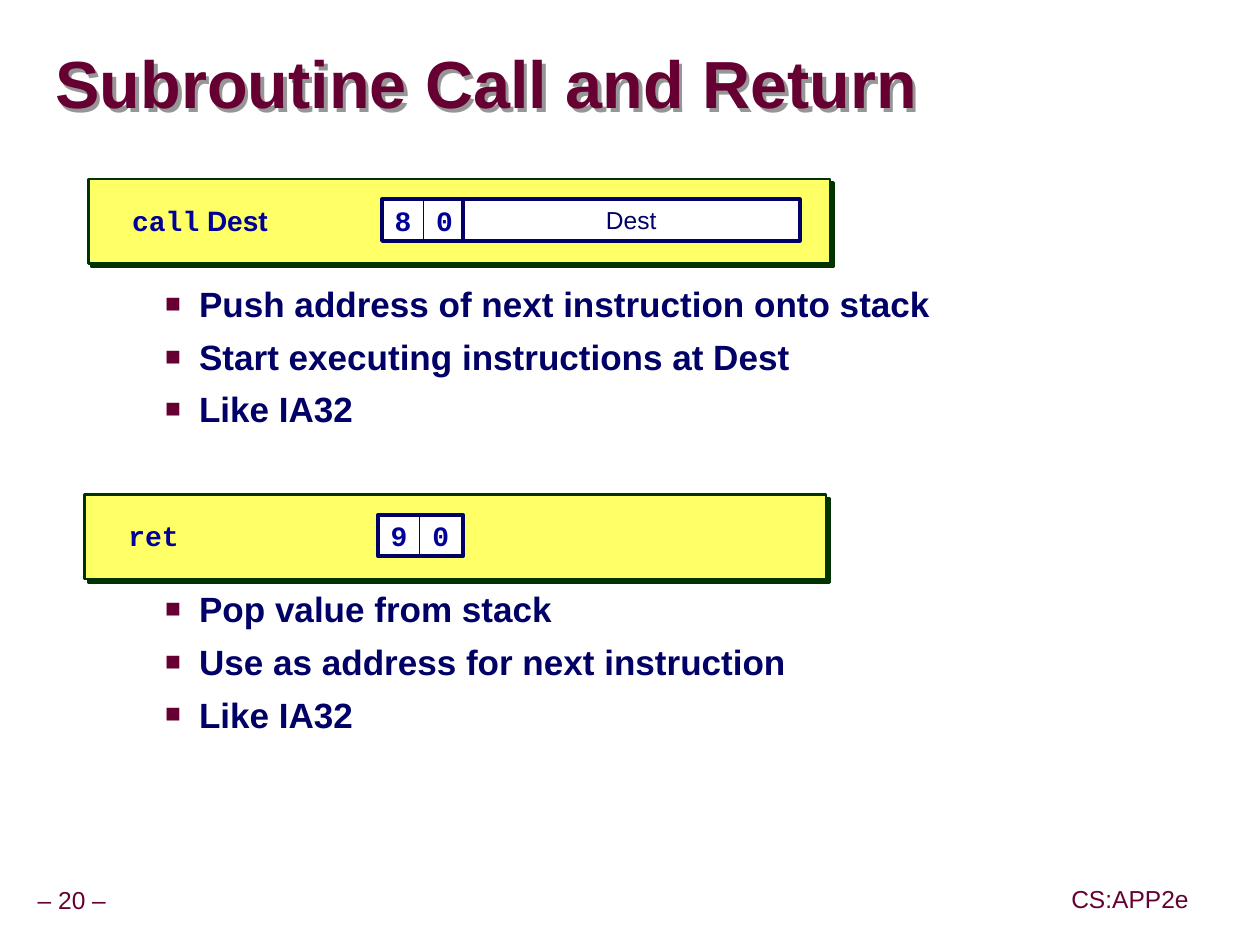
from lxml.etree import SubElement
from pptx import Presentation
from pptx.dml.color import RGBColor
from pptx.enum.shapes import MSO_SHAPE
from pptx.enum.text import MSO_ANCHOR, PP_ALIGN
from pptx.oxml.ns import qn
from pptx.util import Inches, Pt

COLORS = {
    "maroon": "660033", "navy": "000066", "code": "000099", "yellow": "FFFF66",
    "green": "003300", "white": "FFFFFF", "grey": "969696",
}
CELL = 0.33


def write(s, runs, size, color, bold=True, align=PP_ALIGN.LEFT, inset=None):
    tf = s.text_frame
    tf.word_wrap = inset is None
    tf.vertical_anchor = MSO_ANCHOR.MIDDLE
    if inset is not None:
        tf.margin_left = tf.margin_right = tf.margin_top = tf.margin_bottom = Inches(inset)
    p = tf.paragraphs[0]
    p.alignment = align
    for text, font in runs:
        r = p.add_run()
        r.text = text
        r.font.name, r.font.size, r.font.bold = font, Pt(size), bold
        r.font.color.rgb = RGBColor.from_string(COLORS[color])
    return p


def style(s, fill=None, line=None, width=None, shadow=None):
    s.shadow.inherit = False
    if fill:
        s.fill.solid()
        s.fill.fore_color.rgb = RGBColor.from_string(COLORS[fill])
    else:
        s.fill.background()
    if line:
        s.line.color.rgb = RGBColor.from_string(COLORS[line])
        s.line.width = Pt(width)
    if shadow:
        effects = s._element.spPr.find(qn("a:effectLst"))
        outer = SubElement(effects, qn("a:outerShdw"), dist=str(Pt(2.8)), dir="2700000",
                           algn="ctr", rotWithShape="0")
        SubElement(outer, qn("a:srgbClr"), val=COLORS[shadow])


prs = Presentation()
prs.slide_width, prs.slide_height = Inches(9.99), Inches(7.49)
slide = prs.slides.add_slide(prs.slide_layouts[5])

title = slide.shapes.title
title.left, title.top, title.width, title.height = map(Inches, (0.44, 0.27, 9.52, 0.85))
style(title, shadow="grey")
p = write(title, [("Subroutine Call and Return", "Arial")], 38, "maroon", inset=0)
p.line_spacing = 0.87
title.text_frame.word_wrap = True

for text, x, y, w in [("– 20 –", 0.24, 6.99, 0.66), ("CS:APP2e", 8.44, 6.98, 1.04)]:
    s = slide.shapes.add_textbox(Inches(x), Inches(y), Inches(w), Inches(0.31))
    p = write(s, [(text, "Arial")], 14, "maroon", False, PP_ALIGN.CENTER, 0.05)
    p.line_spacing = 0.9

lists = [
    (2.19, ["Push address of next instruction onto stack",
            "Start executing instructions at Dest", "Like IA32"]),
    (4.61, ["Pop value from stack", "Use as address for next instruction", "Like IA32"]),
]
for y, items in lists:
    s = slide.shapes.add_textbox(Inches(0.67), Inches(y), Inches(8.42), Inches(1.3))
    tf = s.text_frame
    tf.word_wrap = True
    for i, item in enumerate(items):
        p = tf.add_paragraph() if i else tf.paragraphs[0]
        p.space_before = Pt(6 if i else 0)
        pPr = p._p.get_or_add_pPr()
        pPr.set("marL", str(Inches(0.81)))
        pPr.set("indent", str(Inches(-0.27)))
        color = SubElement(pPr, qn("a:buClr"))
        SubElement(color, qn("a:srgbClr"), val=COLORS["maroon"])
        SubElement(pPr, qn("a:buSzPct"), val="75000")
        SubElement(pPr, qn("a:buFont"), typeface="Arial")
        SubElement(pPr, qn("a:buChar"), char="■")
        r = p.add_run()
        r.text = item
        r.font.name, r.font.size, r.font.bold = "Arial", Pt(20), True
        r.font.color.rgb = RGBColor.from_string(COLORS["navy"])

instructions = [
    (0.7, 1.42, [("call", "Courier New"), (" Dest", "Arial")], "80", "Dest"),
    (0.67, 3.92, [("ret", "Courier New")], "90", None),
]
for x, y, name, code, operand in instructions:
    shapes = slide.shapes.add_group_shape().shapes
    panel = shapes.add_shape(MSO_SHAPE.RECTANGLE, Inches(x), Inches(y), Inches(5.88), Inches(0.67))
    style(panel, "yellow", "green", 1.5, "green")

    top, left = y + 0.16, x + 2.33
    label = shapes.add_textbox(Inches(x + 0.25), Inches(top), Inches(2.08), Inches(CELL))
    write(label, name, 16, "code")

    for i, digit in enumerate(code):
        s = shapes.add_shape(MSO_SHAPE.RECTANGLE, Inches(left + i * CELL), Inches(top),
                             Inches(CELL), Inches(CELL))
        style(s, "white", "navy", 0.5)
        write(s, [(digit, "Courier New")], 16, "code", align=PP_ALIGN.CENTER, inset=0.05)

    frame = shapes.add_shape(MSO_SHAPE.RECTANGLE, Inches(left), Inches(top),
                             Inches(0.67), Inches(CELL))
    style(frame, line="navy", width=2.25)

    if operand:
        s = shapes.add_shape(MSO_SHAPE.RECTANGLE, Inches(left + 0.64), Inches(top),
                             Inches(2.67), Inches(CELL))
        style(s, "white", "navy", 2.25)
        write(s, [(operand, "Arial")], 14, "navy", False, PP_ALIGN.CENTER, 0.05)

prs.save("out.pptx")
